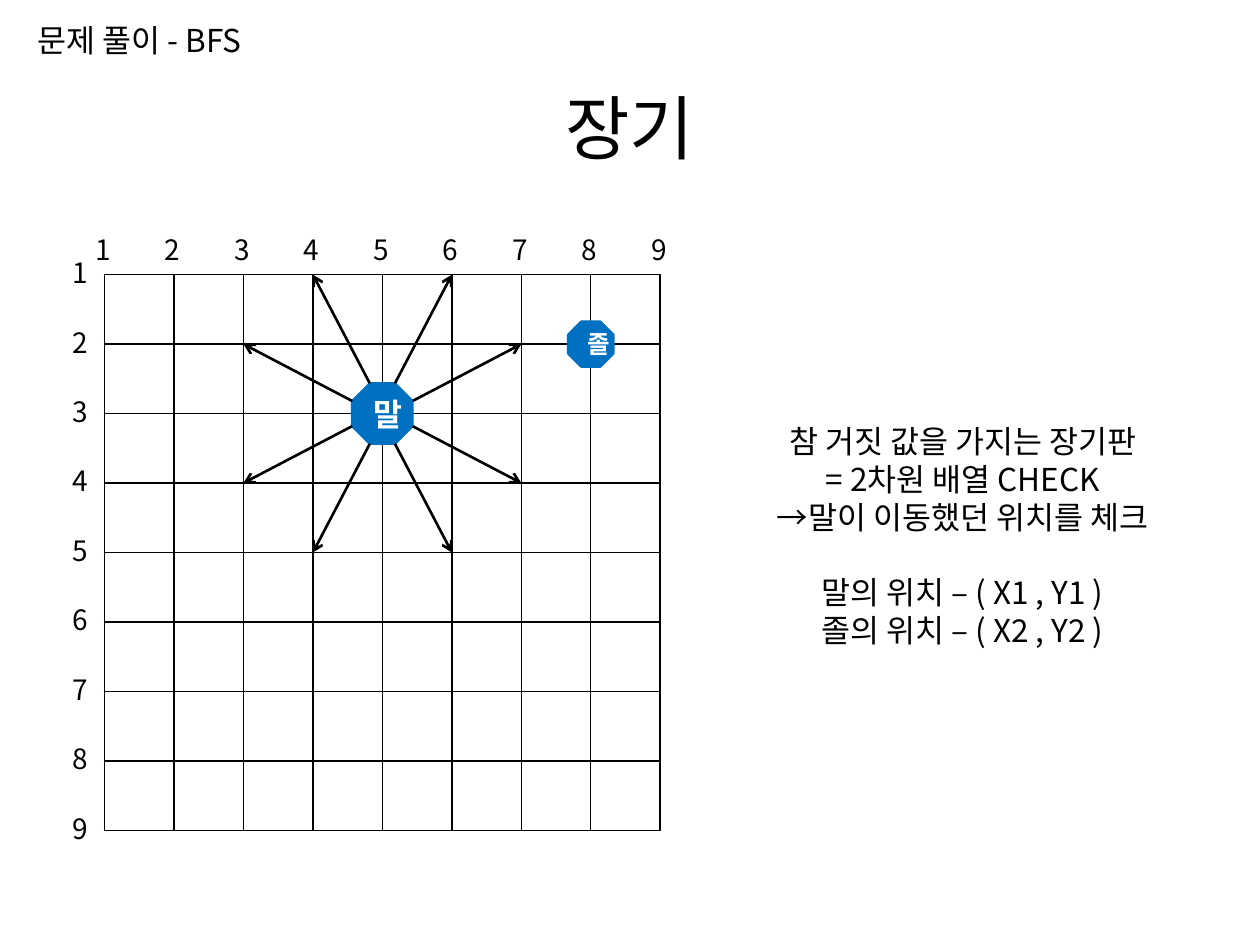
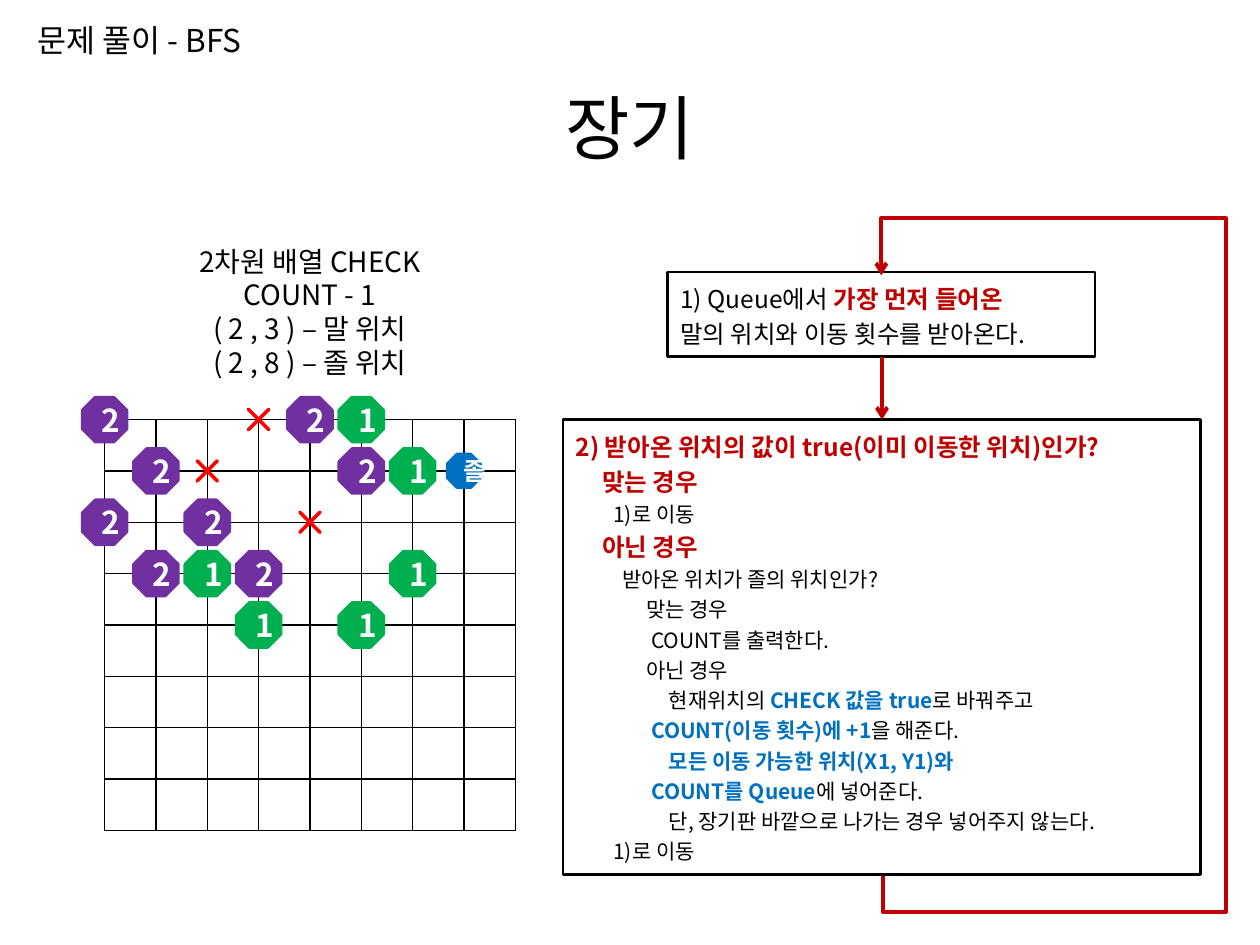
from pptx import Presentation
from pptx.dml.color import RGBColor
from pptx.enum.shapes import MSO_CONNECTOR, MSO_SHAPE
from pptx.enum.text import MSO_ANCHOR, MSO_AUTO_SIZE, PP_ALIGN
from pptx.oxml.ns import qn
from pptx.util import Inches, Pt
from lxml import etree

BLACK = RGBColor(0, 0, 0)
WHITE = RGBColor(255, 255, 255)
BLUE = RGBColor(0x00, 0x70, 0xC0)
GREEN = RGBColor(0x00, 0xB0, 0x50)
PURPLE = RGBColor(0x70, 0x30, 0xA0)
RED = RGBColor(0xFF, 0, 0)
DARK = RGBColor(0xC0, 0, 0)
FONT = "Noto Sans CJK KR"
LEFT, CENTER = PP_ALIGN.LEFT, PP_ALIGN.CENTER
TOP, MIDDLE = MSO_ANCHOR.TOP, MSO_ANCHOR.MIDDLE
GROW = MSO_AUTO_SIZE.SHAPE_TO_FIT_TEXT
STRAIGHT, ELBOW = MSO_CONNECTOR.STRAIGHT, MSO_CONNECTOR.ELBOW
OCTAGON, CROSS, RECT = MSO_SHAPE.OCTAGON, MSO_SHAPE.MATH_MULTIPLY, MSO_SHAPE.RECTANGLE
CELLS = 8


def sub(node, tag, **attrs):
    """Append a child element and return it."""
    return etree.SubElement(node, qn(tag), attrs)


class Board:
    """A square game board whose pieces stand on line crossings."""

    def __init__(self, left, top, size):
        """Keep the corner and work out the gap between lines."""
        self.left, self.top, self.size = left, top, size
        self.step = size / CELLS

    def point(self, col, row):
        """Return the place of a crossing, counted from 0."""
        return self.left + col * self.step, self.top + row * self.step


class Deck:
    """Holds the style and the current slide."""

    def __init__(self):
        """Start an empty 4:3 deck."""
        self.prs = Presentation()
        self.prs.slide_width, self.prs.slide_height = Inches(10), Inches(7.5)

    def page(self, title, head):
        """Add a slide with its title and corner heading."""
        self.slide = self.prs.slides.add_slide(self.prs.slide_layouts[5])
        self.shapes = self.slide.shapes
        name = self.shapes.title
        name.left, name.top = Inches(0.5), Inches(0.38)
        name.width, name.height = Inches(9), Inches(1.25)
        name.text_frame.vertical_anchor = MIDDLE
        self.para(name.text_frame.paragraphs[0], [(title, BLACK)], 40, CENTER)
        self.text(0.2, 0.12, 2.83, 0.4, [head], 18)

    def para(self, para, runs, size, align=LEFT, bold=False):
        """Fill a paragraph; coloured runs are bold."""
        para.alignment = align
        for words, color in runs:
            run = para.add_run()
            run.text = words
            font = run.font
            font.name, font.size = FONT, Pt(size)
            font.bold = bold or color != BLACK
            font.color.rgb = color
            sub(run._r.get_or_add_rPr(), "a:ea", typeface=FONT)

    def text(self, x, y, w, h, lines, size, align=LEFT, gap=None, home=None):
        """Add a text box; gap names the line that has space above it."""
        home = home or self.shapes
        box = home.add_textbox(Inches(x), Inches(y), Inches(w), Inches(h))
        frame = box.text_frame
        frame.word_wrap, frame.auto_size = True, GROW
        for i, line in enumerate(lines):
            para = frame.add_paragraph() if i else frame.paragraphs[0]
            self.para(para, [(line, BLACK)], size, align)
            if i == gap:
                para.space_before = Pt(21.7)

    def grid(self, board):
        """Draw a board as a bare table with thin black borders."""
        x, y, size = Inches(board.left), Inches(board.top), Inches(board.size)
        table = self.shapes.add_table(CELLS, CELLS, x, y, size, size).table
        table.first_row = table.horz_banding = False
        for line in [*table.columns]:
            line.width = Inches(board.step)
        for line in table.rows:
            line.height = Inches(board.step)
        for cell in table.iter_cells():
            cell.margin_left = cell.margin_right = 0
            cell.margin_top = cell.margin_bottom = 0
            props = cell._tc.get_or_add_tcPr()
            for side in ("a:lnL", "a:lnR", "a:lnT", "a:lnB"):
                edge = sub(props, side, w=str(Pt(1)))
                sub(sub(edge, "a:solidFill"), "a:srgbClr", val=str(BLACK))
            cell.fill.background()

    def mark(self, kind, board, spot, size, color):
        """Centre a filled shape on a crossing."""
        x, y = board.point(*spot)
        shape = self.shapes.add_shape(kind, Inches(x - size / 2), Inches(y - size / 2),
                                      Inches(size), Inches(size))
        shape.shadow.inherit = False
        shape.fill.solid()
        shape.fill.fore_color.rgb = shape.line.color.rgb = color
        shape.line.width = Pt(2)
        return shape

    def piece(self, board, spot, size, color, label, points=18):
        """Add an octagonal piece with its label."""
        frame = self.mark(OCTAGON, board, spot, size, color).text_frame
        frame.vertical_anchor = MIDDLE
        self.para(frame.paragraphs[0], [(label, WHITE)], points, CENTER, True)

    def cross(self, board, spot):
        """Add a thin red cross."""
        self.mark(CROSS, board, spot, 0.31, RED).adjustments[0] = 0

    def arrow(self, start, end, color, width, kind=STRAIGHT):
        """Add a connector with an open arrowhead at its end."""
        link = self.shapes.add_connector(kind, *map(Inches, (*start, *end)))
        link.line.color.rgb, link.line.width = color, Pt(width)
        sub(link.line._get_or_add_ln(), "a:tailEnd", type="arrow")
        sub(link._element.spPr, "a:effectLst")
        return link

    def loop(self, x, low, high, right, out, over):
        """Lead an arrow from low out to the right and back down to high."""
        span, thin = low - high, 0.01
        left, mid = x - span / 2, (low + high) / 2
        link = self.arrow((left, mid), (left + span, mid + thin), DARK, 2.25, ELBOW)
        props = link._element.spPr
        frame = props.find(qn("a:xfrm"))
        frame.set("rot", "5400000")
        frame.set("flipH", "1")
        shape = props.find(qn("a:prstGeom"))
        shape.set("prst", "bentConnector5")
        bends = shape.find(qn("a:avLst"))
        ratios = (-out / span, (x - right) / thin, 1 + over / span)
        for i, ratio in enumerate(ratios, 1):
            sub(bends, "a:gd", name=f"adj{i}", fmla=f"val {round(ratio * 100000)}")

    def panel(self, x, y, w, h, lines):
        """Add a framed box of (indent, size, runs) lines."""
        box = self.shapes.add_shape(RECT, *map(Inches, (x, y, w, h)))
        box.shadow.inherit = False
        box.fill.background()
        box.line.color.rgb, box.line.width = BLACK, Pt(1.5)
        frame = box.text_frame
        frame.word_wrap, frame.auto_size = True, GROW
        frame.vertical_anchor = TOP
        for i, (indent, size, runs) in enumerate(lines):
            para = frame.add_paragraph() if i else frame.paragraphs[0]
            self.para(para, runs, size)
            para.line_spacing = 1.2
            para._p.get_or_add_pPr().set("marL", str(Inches(indent)))

    def axes(self, board):
        """Number the board lines along the top and the left."""
        across, down = (self.shapes.add_group_shape().shapes for _ in range(2))
        for i in range(CELLS + 1):
            x, y = board.point(i, i)
            label = [str(i + 1)]
            self.text(x - 0.17, board.top - 0.38, 0.33, 0.37, label, 16, home=across)
            self.text(board.left - 0.35, y - 0.2, 0.33, 0.37, label, 16, home=down)


TITLE, HEAD = "장기", "문제 풀이 - BFS"
deck = Deck()

# Moves of the horse
deck.page(TITLE, HEAD)
board = Board(0.83, 2.18, 4.41)
deck.grid(board)
horse = (4, 2)
deck.piece(board, horse, 0.47, BLUE, "말")
midx, midy = board.point(*horse)
for right in (-1, 1):
    for down in (-1, 1):
        for dx, dy, near in ((1, 2, (0.1, 0.24)), (2, 1, (0.24, 0.1))):
            start = midx + right * near[0], midy + down * near[1]
            end = board.point(horse[0] + right * dx, horse[1] + down * dy)
            deck.arrow(start, end, BLACK, 1.5)
deck.piece(board, (7, 1), 0.35, BLUE, "졸", 14)
deck.text(5.63, 3.3, 4.02, 2.22, [
    "참 거짓 값을 가지는 장기판",
    "= 2차원 배열 CHECK",
    "→말이 이동했던 위치를 체크",
    "말의 위치 – ( X1 , Y1 )",
    "졸의 위치 – ( X2 , Y2 )"], 18, CENTER, gap=3)
deck.axes(board)

# Search steps
deck.page(TITLE, HEAD)
board = Board(0.83, 3.33, 3.26)
deck.grid(board)
deck.piece(board, (7, 1), 0.26, BLUE, "졸", 14)
for spot in ((2, 3), (3, 4), (5, 4), (6, 3), (6, 1), (5, 0)):
    deck.piece(board, spot, 0.35, GREEN, "1")
for spot in ((4, 2), (3, 0), (2, 1)):
    deck.cross(board, spot)
for spot in ((1, 1), (2, 2), (5, 1), (0, 2), (1, 3), (3, 3), (4, 0), (0, 0)):
    deck.piece(board, spot, 0.35, PURPLE, "2")
deck.text(0.45, 1.89, 4.02, 1.45, [
    "2차원 배열 CHECK", "COUNT - 1",
    "( 2 , 3 ) – 말 위치", "( 2 , 8 ) – 졸 위치"], 16, CENTER)
deck.panel(5.3, 2.16, 3.39, 0.67, [
    (0, 14, [("1) Queue에서 ", BLACK), ("가장 먼저 들어온 ", DARK)]),
    (0, 14, [("말의 위치와 이동 횟수를 받아온다.", BLACK)])])
deck.loop(7, 6.94, 2.18, 9.77, 0.29, 0.45)
deck.arrow((7, 2.83), (7, 3.33), DARK, 2.25)
deck.panel(4.47, 3.33, 5.06, 3.61, [
    (0, 14, [("2) 받아온 위치의 값이 true(이미 이동한 위치)인가?", DARK)]),
    (0.21, 14, [("맞는 경우", DARK)]),
    (0.3, 12, [("1)로 이동", BLACK)]),
    (0.21, 14, [("아닌 경우", DARK)]),
    (0.37, 12, [("받아온 위치가 졸의 위치인가?", BLACK)]),
    (0.56, 12, [("맞는 경우", BLACK)]),
    (0.6, 12, [("COUNT를 출력한다.", BLACK)]),
    (0.56, 12, [("아닌 경우", BLACK)]),
    (0.74, 12, [("현재위치의 ", BLACK), ("CHECK 값을 true", BLUE), ("로 바꿔주고", BLACK)]),
    (0.6, 12, [("COUNT(이동 횟수)에 +1", BLUE), ("을 해준다.", BLACK)]),
    (0.74, 12, [("모든 이동 가능한 위치(X1, Y1)와", BLUE)]),
    (0.6, 12, [("COUNT를 Queue", BLUE), ("에 넣어준다.", BLACK)]),
    (0.74, 12, [("단, 장기판 바깥으로 나가는 경우 넣어주지 않는다.", BLACK)]),
    (0.3, 12, [("1)로 이동", BLACK)])])

deck.prs.save("out.pptx")
